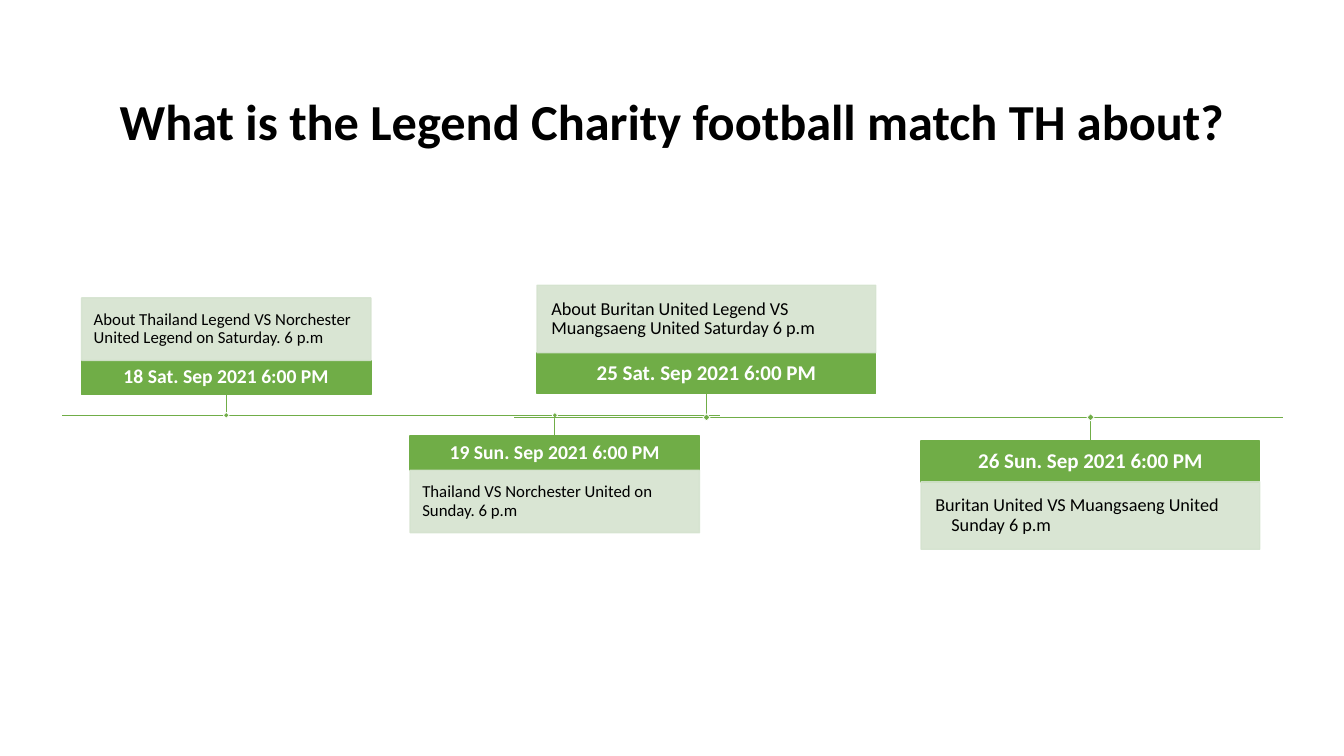
"""Build a slide with two match timelines for a charity football event."""
from lxml import etree
from pptx import Presentation
from pptx import util as u
from pptx.dml.color import RGBColor
from pptx.enum import shapes, text
from pptx.oxml.ns import qn

BLACK = RGBColor(0x00, 0x00, 0x00)
WHITE = RGBColor(0xFF, 0xFF, 0xFF)
GREEN = RGBColor(0x70, 0xAD, 0x47)
PALE_GREEN = RGBColor(0xD5, 0xE3, 0xCF)

FONT = "Calibri"
PX_PER_INCH = 200
SLIDE_SIZE = (2667, 1500)
TITLE = "What is the Legend Charity football match TH about?"
TITLE_BOX = (184, 122, 2300, 248)
DATE_INSET = 16
SECOND_LINE_INDENT = 32

TIMELINES = [
    {
        "axis": (124, 1428, 824), "stem": 41, "width": 574,
        "date_height": 68, "body_height": 124, "inset": 24, "marker": 8,
        "date_size": 14, "body_size": 12,
        "matches": [
            (162, "above", "18 Sat. Sep 2021 6:00 PM",
             ["About Thailand Legend VS Norchester United Legend on Saturday. 6 p.m"]),
            (814, "below", "19 Sun. Sep 2021 6:00 PM",
             ["Thailand VS Norchester United on Sunday. 6 p.m"]),
        ],
    },
    {
        "axis": (1020, 2546, 828), "stem": 47, "width": 672,
        "date_height": 81, "body_height": 134, "inset": 28, "marker": 10,
        "date_size": 15, "body_size": 13,
        "matches": [
            (1066, "above", "25 Sat. Sep 2021 6:00 PM",
             ["About Buritan United Legend VS Muangsaeng United Saturday 6 p.m"]),
            (1828, "below", "26 Sun. Sep 2021 6:00 PM",
             ["Buritan United VS Muangsaeng United", "Sunday 6 p.m"]),
        ],
    },
]


def px(length):
    return u.Emu(round(length * u.Inches(1) / PX_PER_INCH))


def write(shape, lines, size, color=BLACK, bold=False, centered=False, insets=(20, 10)):
    frame = shape.text_frame
    frame.word_wrap = True
    frame.vertical_anchor = text.MSO_ANCHOR.MIDDLE
    frame.margin_left = frame.margin_right = px(insets[0])
    frame.margin_top = frame.margin_bottom = px(insets[1])
    for index, line in enumerate(lines):
        paragraph = frame.add_paragraph() if index else frame.paragraphs[0]
        paragraph.alignment = text.PP_ALIGN.CENTER if centered else text.PP_ALIGN.LEFT
        paragraph.line_spacing = 0.9
        if index:
            paragraph._p.get_or_add_pPr().set("marL", str(px(SECOND_LINE_INDENT)))
        run = paragraph.add_run()
        run.text = line
        run.font.name = FONT
        run.font.size = u.Pt(size)
        run.font.bold = bold
        run.font.color.rgb = color


def add_rectangle(slide, box, fill, line, line_width=1, opacity=100):
    shape = slide.shapes.add_shape(shapes.MSO_SHAPE.RECTANGLE, *map(px, box))
    shape.shadow.inherit = False
    shape.fill.solid()
    shape.fill.fore_color.rgb = fill
    shape.line.color.rgb = line
    shape.line.width = u.Pt(line_width)
    if opacity < 100:
        for color in shape._element.spPr.iter(qn("a:srgbClr")):
            etree.SubElement(color, qn("a:alpha"), val=str(opacity * 1000))
    return shape


def add_line(slide, start, end, width):
    line = slide.shapes.add_connector(
        shapes.MSO_CONNECTOR.STRAIGHT, *map(px, start + end))
    line.line.color.rgb = GREEN
    line.line.width = u.Pt(width)
    etree.SubElement(line._element.spPr, qn("a:effectLst"))
    return line


def add_match(slide, timeline, match):
    left, side, date, description = match
    axis_y, stem = timeline["axis"][2], timeline["stem"]
    width, inset = timeline["width"], timeline["inset"]
    date_height, body_height = timeline["date_height"], timeline["body_height"]
    if side == "above":
        stem_y, site = axis_y - stem, 2
        date_top = stem_y - date_height
        body_top = date_top - body_height
    else:
        stem_y, site = axis_y + stem, 0
        date_top = stem_y
        body_top = date_top + date_height

    date_box = add_rectangle(slide, (left, date_top, width, date_height), GREEN, GREEN)
    write(date_box, [date], timeline["date_size"], color=WHITE, bold=True,
          centered=True, insets=(DATE_INSET, DATE_INSET))
    body = add_rectangle(slide, (left, body_top, width, body_height),
                         PALE_GREEN, PALE_GREEN, opacity=90)
    write(body, description, timeline["body_size"], insets=(inset, inset))
    center = left + width / 2
    connector = add_line(slide, (center, stem_y), (center, axis_y), 0.5)
    connector.begin_connect(date_box, site)


def add_timeline(slide, timeline):
    left, right, axis_y = timeline["axis"]
    marker = timeline["marker"]
    add_line(slide, (left, axis_y), (right, axis_y), 1)
    for match in timeline["matches"]:
        add_match(slide, timeline, match)
    for match in timeline["matches"]:
        center = match[0] + timeline["width"] / 2
        box = (center - marker / 2, axis_y - marker / 2, marker, marker)
        add_rectangle(slide, box, GREEN, WHITE, line_width=0.5).rotation = 45


def main():
    presentation = Presentation()
    presentation.slide_width, presentation.slide_height = map(px, SLIDE_SIZE)
    slide = presentation.slides.add_slide(presentation.slide_layouts[6])
    title = slide.shapes.add_textbox(*map(px, TITLE_BOX))
    write(title, [TITLE], 36, bold=True, centered=True)
    for timeline in TIMELINES:
        add_timeline(slide, timeline)
    presentation.save("out.pptx")


if __name__ == "__main__":
    main()
